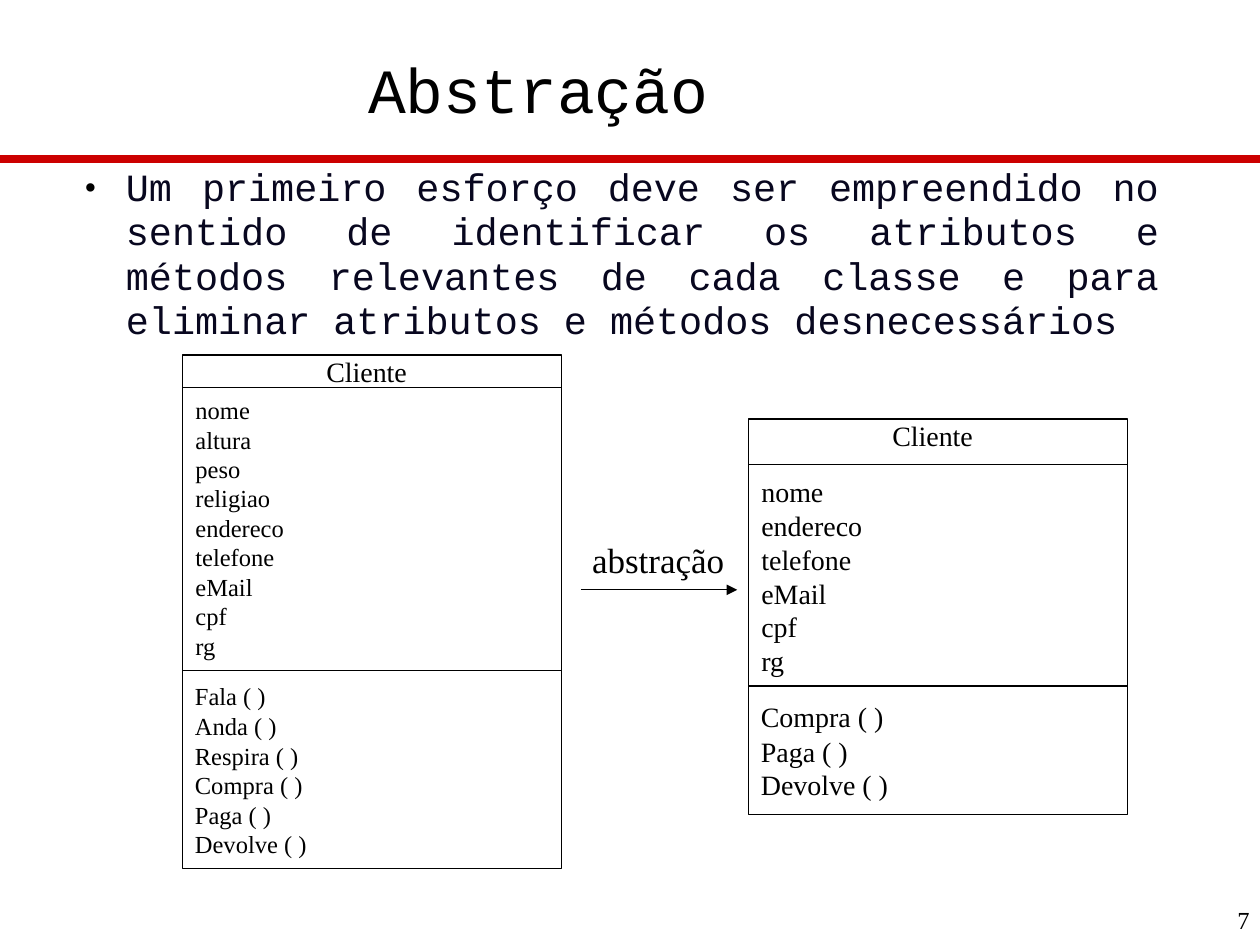
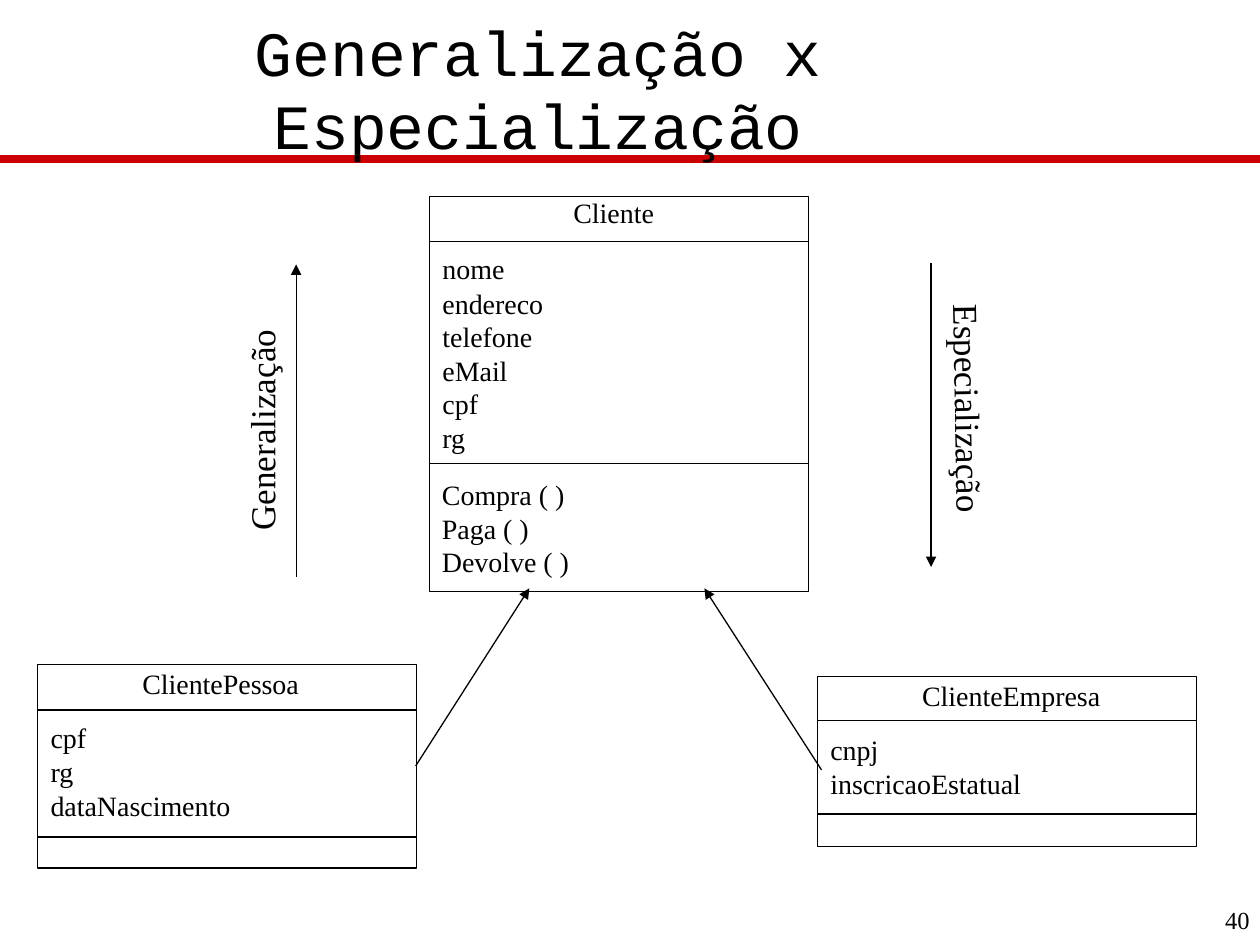
from dataclasses import dataclass

from lxml import etree
from pptx import Presentation
from pptx.dml.color import RGBColor
from pptx.enum.shapes import MSO_CONNECTOR, MSO_SHAPE
from pptx.enum.text import MSO_ANCHOR, PP_ALIGN
from pptx.oxml.ns import qn
from pptx.util import Cm, Pt

LEFT, CENTER, RIGHT, JUSTIFY = PP_ALIGN.LEFT, PP_ALIGN.CENTER, PP_ALIGN.RIGHT, PP_ALIGN.JUSTIFY
TOP, MIDDLE = MSO_ANCHOR.TOP, MSO_ANCHOR.MIDDLE
STRAIGHT, RECTANGLE = MSO_CONNECTOR.STRAIGHT, MSO_SHAPE.RECTANGLE


@dataclass(frozen=True)
class Theme:
    """Colours, fonts, sizes and shared measures."""
    ink: str = "000000"
    body_ink: str = "08071F"
    paper: str = "FFFFFF"
    band: str = "CC0000"
    mono: str = "Courier New"
    serif: str = "Times New Roman"
    title: int = 36
    body: int = 22
    label: int = 20
    member: int = 16
    small: int = 14
    hairline: float = 0.75
    band_width: float = 4.5
    serif_spacing: float = 0.93
    mono_spacing: float = 0.96
    class_width: float = 7.64


def write(tf, text, font, size, color, spacing, align=LEFT, anchor=TOP):
    """Fill a text frame, a paragraph per line; spacing tightens the first one."""
    tf.word_wrap = True
    tf.vertical_anchor = anchor
    tf.margin_left = tf.margin_right = tf.margin_top = tf.margin_bottom = 0
    for i, line in enumerate(text.split("\n")):
        p = tf.paragraphs[0] if i == 0 else tf.add_paragraph()
        p.alignment = align
        p.line_spacing = spacing if i == 0 else 1.0
        r = p.add_run()
        r.text = line
        r.font.name = font
        r.font.size = Pt(size)
        r.font.color.rgb = RGBColor.from_string(color)


class Deck:
    """Holds the style and the current slide."""

    def __init__(self, theme):
        """Start an empty 4:3 presentation."""
        self.theme = theme
        self.prs = Presentation()
        self.prs.slide_width, self.prs.slide_height = Cm(25.4), Cm(19.05)
        self.s = None

    def slide(self, title, number):
        """Add a slide with its band, page number and title."""
        t = self.theme
        self.s = self.prs.slides.add_slide(self.prs.slide_layouts[6])
        self.line(0, 3.2, 25.4, 3.2, color=t.band, width=t.band_width)
        self.text(str(number), 23.11, 18.29, 2.08, 0.79, size=t.small, align=RIGHT)
        self.text(title, 0.64, 0.51, 20.42, 2.67, font=t.mono, size=t.title,
                  align=CENTER, anchor=MIDDLE, spacing=t.mono_spacing)

    def text(self, text, x, y, w, h, rotation=0, **style):
        """Add a text box."""
        t = self.theme
        style = {"font": t.serif, "size": t.member, "color": t.ink,
                 "spacing": t.serif_spacing, **style}
        box = self.s.shapes.add_textbox(Cm(x), Cm(y), Cm(w), Cm(h))
        box.rotation = rotation
        write(box.text_frame, text, **style)
        return box

    def bullet(self, text, x, y, w, h):
        """Add a justified bullet paragraph."""
        t = self.theme
        box = self.text(text, x, y, w, h, font=t.mono, size=t.body, color=t.body_ink,
                        align=JUSTIFY, spacing=t.mono_spacing)
        pPr = box.text_frame.paragraphs[0]._p.get_or_add_pPr()
        pPr.set("marL", str(Cm(0.86)))
        pPr.set("indent", str(-Cm(0.84)))
        color = etree.SubElement(pPr, qn("a:buClr"))
        etree.SubElement(color, qn("a:srgbClr"), val=t.ink)
        etree.SubElement(pPr, qn("a:buSzPct"), val="91000")
        etree.SubElement(pPr, qn("a:buFont"), typeface=t.serif)
        etree.SubElement(pPr, qn("a:buChar"), char="•")

    def line(self, x1, y1, x2, y2, color=None, width=None, arrow=False):
        """Add a straight line, with an arrowhead at its end if asked."""
        c = self.s.shapes.add_connector(STRAIGHT, Cm(x1), Cm(y1), Cm(x2), Cm(y2))
        c.line.color.rgb = RGBColor.from_string(color or self.theme.ink)
        c.line.width = Pt(width or self.theme.hairline)
        spPr = c._element.spPr
        if arrow:
            etree.SubElement(spPr.find(qn("a:ln")), qn("a:tailEnd"), type="triangle")
        etree.SubElement(spPr, qn("a:effectLst"))

    def label(self, text, cx, cy, rotation=0):
        """Add a label centred on a point."""
        w, h = 4.6, 0.8
        self.text(text, cx - w / 2, cy - h / 2, w, h, rotation=rotation,
                  size=self.theme.label, align=CENTER)

    def class_box(self, name, attributes, methods, x, y, h, attributes_at, methods_at,
                  name_at=(2.9, 0.05), size=None, gap=0.27):
        """Add a class diagram box; inner places count from its corner."""
        t = self.theme
        w = t.class_width
        box = self.s.shapes.add_shape(RECTANGLE, Cm(x), Cm(y), Cm(w), Cm(h))
        box.shadow.inherit = False
        box.fill.solid()
        box.fill.fore_color.rgb = RGBColor.from_string(t.paper)
        box.line.color.rgb = RGBColor.from_string(t.ink)
        box.line.width = Pt(t.hairline)
        for divider in (attributes_at, methods_at):
            self.line(x, y + divider, x + w, y + divider)
        self.text(name, x + name_at[0], y + name_at[1], 4.6, 0.64)
        attributes_top = attributes_at + gap
        self.text("\n".join(attributes), x + 0.26, y + attributes_top, w - 0.5,
                  methods_at - attributes_top, size=size or t.member)
        if methods:
            methods_top = methods_at + gap + 0.07
            self.text("\n".join(methods), x + 0.25, y + methods_top, w - 0.5,
                      h - methods_top, size=size or t.member)


def main():
    """Build both slides."""
    theme = Theme()
    deck = Deck(theme)
    contact = ["endereco", "telefone", "eMail", "cpf", "rg"]
    purchase = ["Compra ( )", "Paga ( )", "Devolve ( )"]
    client = {"name": "Cliente", "attributes": ["nome", *contact], "methods": purchase,
              "h": 7.97, "attributes_at": 0.91, "methods_at": 5.38}

    deck.slide("Abstração", 7)
    deck.bullet("Um primeiro esforço deve ser empreendido no sentido de identificar os "
                "atributos e métodos relevantes de cada classe e para eliminar atributos "
                "e métodos desnecessários", 1.68, 3.35, 21.69, 3.6)
    deck.class_box(x=15.09, y=8.45, **client)
    deck.class_box("Cliente", ["nome", "altura", "peso", "religiao", *contact],
                   ["Fala ( )", "Anda ( )", "Respira ( )", *purchase],
                   3.68, 7.16, 10.35, 0.65, 6.36, size=theme.small, gap=0.2)
    deck.line(11.71, 11.89, 14.86, 11.89, arrow=True)
    deck.label("abstração", 13.27, 11.34)

    deck.slide("Generalização x Especialização", 40)
    deck.class_box(x=8.66, y=3.96, **client)
    deck.class_box("ClientePessoa", ["cpf", "rg", "dataNascimento"], [],
                   0.76, 13.39, 4.11, 0.92, 3.48, name_at=(2.11, 0.1))
    deck.class_box("ClienteEmpresa", ["cnpj", "inscricaoEstatual"], [],
                   16.48, 13.64, 3.43, 0.88, 2.77, name_at=(2.11, 0.1), gap=0.31)
    for arrow in ((8.38, 15.44, 10.67, 11.86), (16.56, 15.52, 14.2, 11.86),
                  (5.97, 11.63, 5.97, 5.33), (18.77, 5.31, 18.77, 11.43)):
        deck.line(*arrow, arrow=True)
    deck.label("Generalização", 5.32, 8.67, rotation=270)
    deck.label("Especialização", 19.48, 8.24, rotation=89)

    deck.prs.save("out.pptx")


if __name__ == "__main__":
    main()
